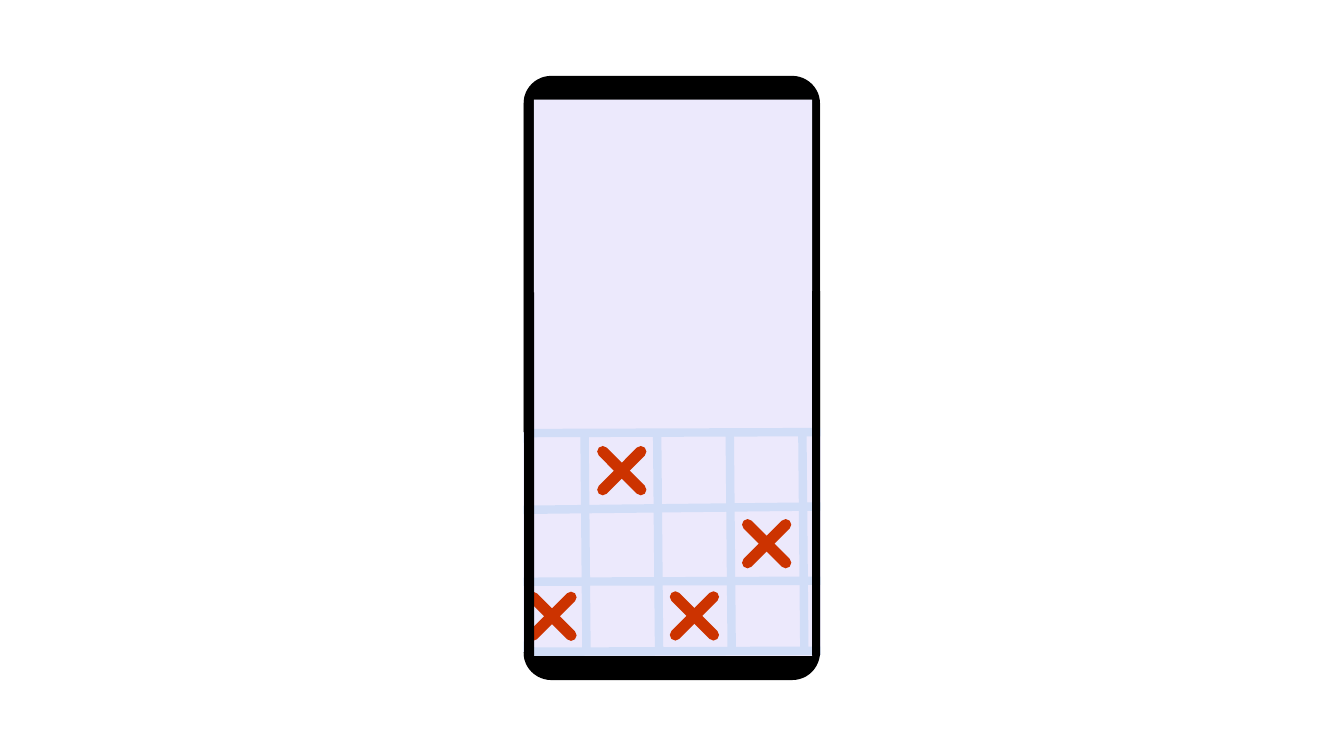
from lxml.etree import SubElement
from pptx import Presentation
from pptx.dml.color import RGBColor
from pptx.enum.shapes import MSO_CONNECTOR as Link, MSO_SHAPE as Form
from pptx.oxml.ns import qn
from pptx.util import Cm, Pt

BLACK = RGBColor(0x00, 0x00, 0x00)
GREY = RGBColor(0x26, 0x26, 0x26)
WHITE = RGBColor(0xFF, 0xFF, 0xFF)
LILAC = RGBColor(0xEC, 0xE9, 0xFC)
BLUE = RGBColor(0xD1, 0xDD, 0xF7)
RED = RGBColor(0xCC, 0x33, 0x00)

# Content, in cm: left, top, width, height
PHONE = (13.21, 1.93, 7.44, 15.19)
BOARD = (12.93, 10.9, 8.86, 5.51)
SCREEN = [
    ((13.44, 2.51, 7.01, 14), GREY),
    ((13.46, 2.51, 7.01, 14.02), LILAC),
    ((13.23, 2.51, 0.2, 13.77), BLACK),
]
# Masks that trim the board to the screen
MASKS = [
    ((9.86, 0.89, 3.33, 15.65), WHITE),
    ((20.68, 2.01, 3.33, 15.65), WHITE),
    ((13.21, 7.37, 0.25, 9.17), BLACK),
    ((20.47, 7.34, 0.2, 9.17), BLACK),
]
# Grid lines: first column, column step, lean, then the rows
COL, STEP, LEAN = 14.73, 1.83, 0.05
ROWS = [(12.88, 12.85, 21.77, 12.75), (13, 14.66, 21.84, 14.63)]
# Centres of the crosses, and half their width
CROSSES = [(13.91, 15.53), (15.67, 11.86), (19.32, 13.7), (17.5, 15.52)]
HALF = 0.48

deck = Presentation()
deck.slide_width, deck.slide_height = Cm(33.87), Cm(19.05)
slide = deck.slides.add_slide(deck.slide_layouts[6])


def add_box(box, fill, form=Form.RECTANGLE, edge=None, width=1, bend=None):
    shape = slide.shapes.add_shape(form, *map(Cm, box))
    shape.shadow.inherit = False
    shape.fill.solid()
    shape.fill.fore_color.rgb = fill
    if edge is None:
        shape.line.fill.background()
    else:
        shape.line.color.rgb = edge
        shape.line.width = Pt(width)
    if bend is not None:
        shape.adjustments[0] = bend
    return shape


def add_line(ends, color, width, cap="flat"):
    line = slide.shapes.add_connector(Link.STRAIGHT, *map(Cm, ends))
    line.line.color.rgb = color
    line.line.width = Pt(width)
    props = line.element.spPr
    props.find(qn("a:ln")).set("cap", cap)
    SubElement(props, qn("a:effectLst"))


# Phone and screen
add_box(PHONE, BLACK, Form.ROUNDED_RECTANGLE, BLACK, 1, 0.092)
for box, fill in SCREEN:
    add_box(box, fill)

# Board with its grid
board = add_box(BOARD, LILAC, Form.ROUNDED_RECTANGLE, BLUE, 6, 0.111)
board.rotation = 359.8
for row in ROWS:
    add_line(row, BLUE, 6)
for i in range(4):
    x = COL + i * STEP
    add_line((x, 10.86, x + LEAN, 16.45), BLUE, 6)

# Crosses
for x, y in CROSSES:
    for rise in (HALF, -HALF):
        add_line((x - HALF, y + rise, x + HALF, y - rise), RED, 8, "rnd")

# Masks
for box, fill in MASKS:
    add_box(box, fill)

deck.save("out.pptx")
